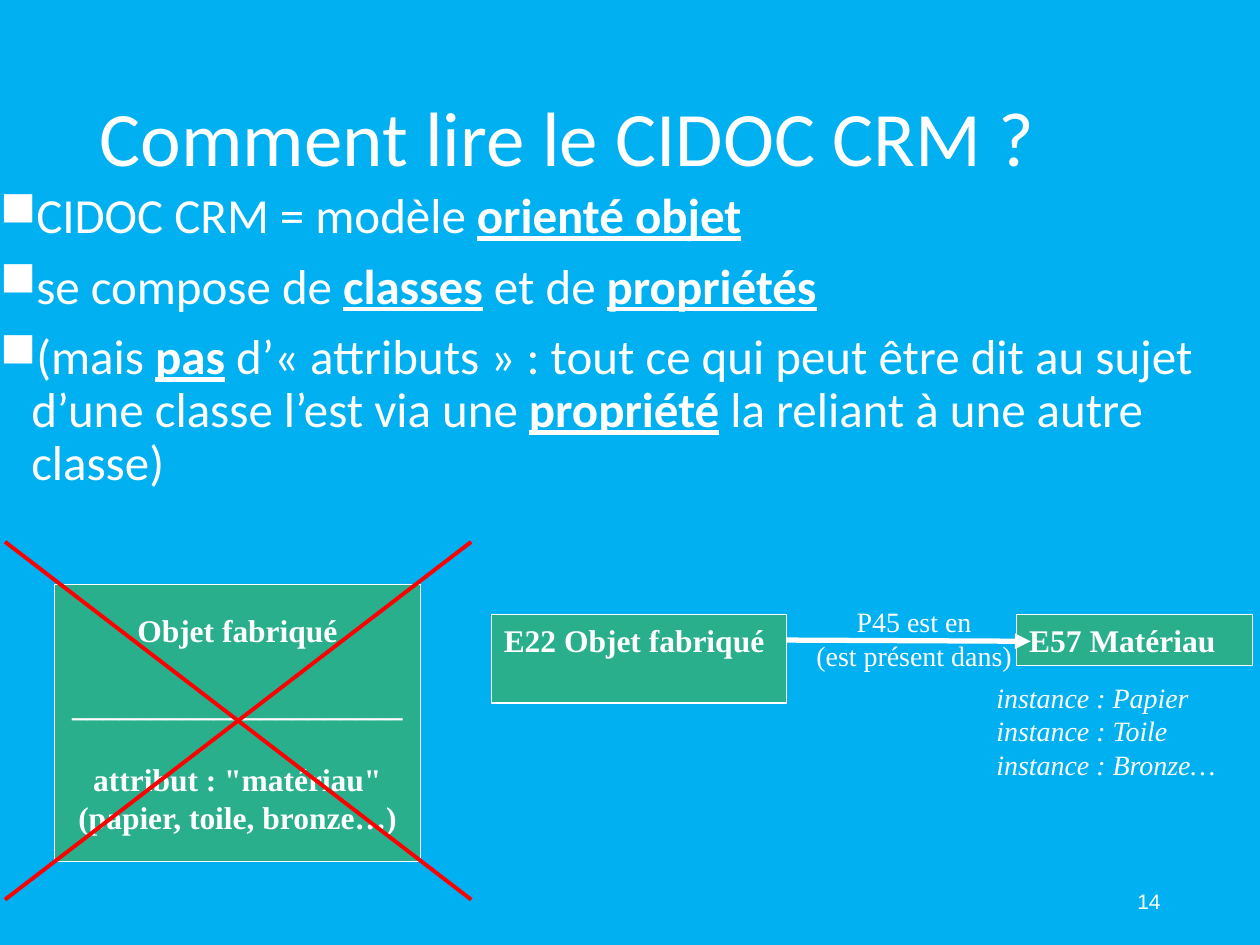
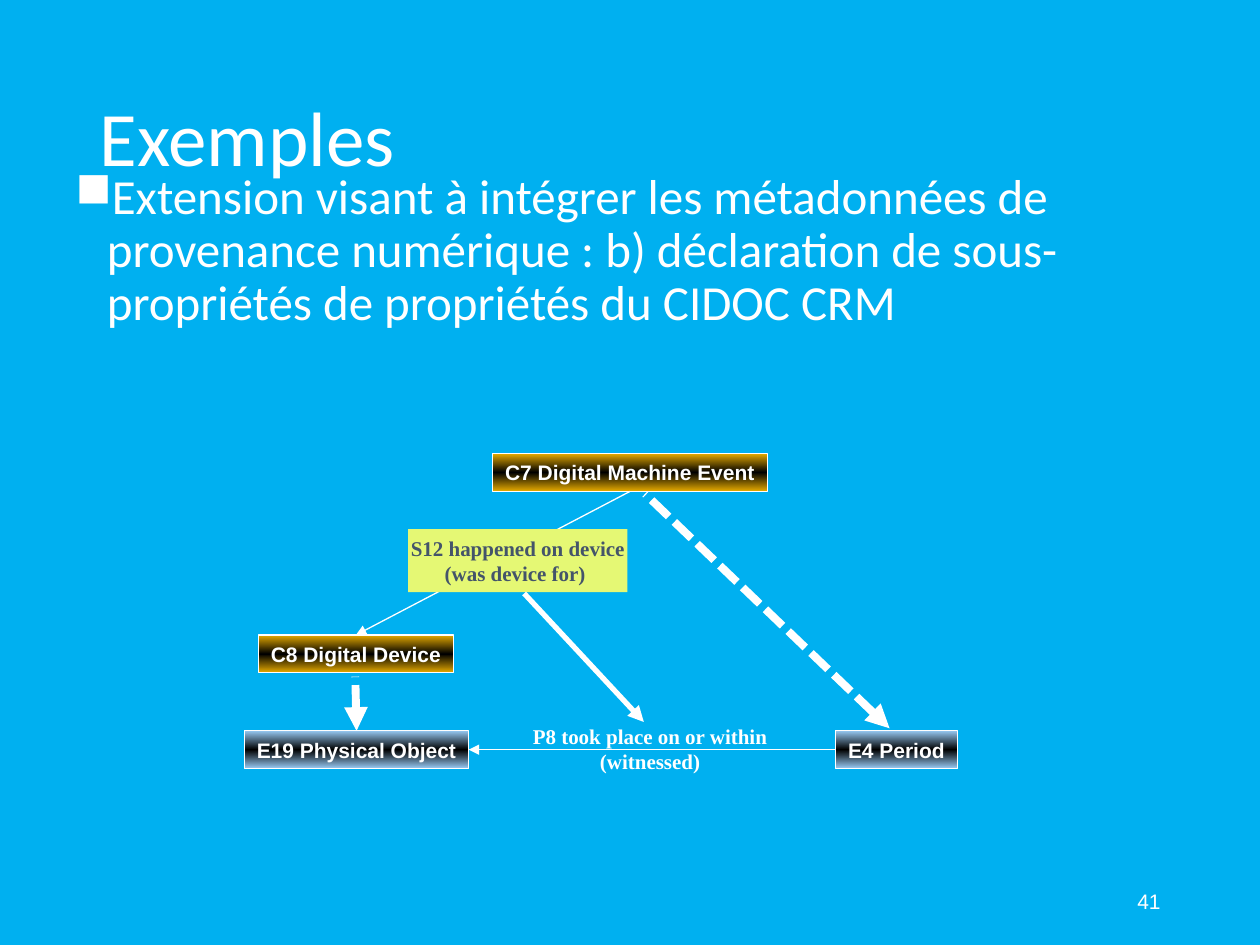
from copy import deepcopy
from dataclasses import dataclass
from typing import Optional, Union

from lxml import etree
from pptx import Presentation
from pptx.dml.color import RGBColor
from pptx.enum.dml import MSO_LINE
from pptx.enum.shapes import MSO_CONNECTOR, MSO_SHAPE
from pptx.enum.text import MSO_ANCHOR, MSO_AUTO_SIZE, PP_ALIGN
from pptx.oxml.ns import qn
from pptx.util import Emu, Pt

# Shared style
PX = 9144  # 100 px to the inch
SKY = RGBColor(0x00, 0xB0, 0xF0)
WHITE = RGBColor(0xFF, 0xFF, 0xFF)
BLACK = RGBColor(0x00, 0x00, 0x00)
GREEN = RGBColor(0x29, 0xAF, 0x8C)
RED = RGBColor(0xFF, 0x00, 0x00)
AMBER = RGBColor(0xE6, 0xAA, 0x00)
PALE_BLUE = RGBColor(0x97, 0xC9, 0xF3)
LIME = RGBColor(0xE5, 0xF8, 0x74)
SLATE = RGBColor(0x44, 0x54, 0x6A)
SANS, SERIF, BODY_FONT = "Arial", "Times New Roman", "Calibri"
LEFT, CENTER, RIGHT = PP_ALIGN.LEFT, PP_ALIGN.CENTER, PP_ALIGN.RIGHT
TOP, MIDDLE = MSO_ANCHOR.TOP, MSO_ANCHOR.MIDDLE
RECTANGLE, STRAIGHT = MSO_SHAPE.RECTANGLE, MSO_CONNECTOR.STRAIGHT
DOTTED = MSO_LINE.SQUARE_DOT
NO_AUTOFIT = MSO_AUTO_SIZE.NONE
TOP_SIDE, LEFT_SIDE, BOTTOM_SIDE, RIGHT_SIDE = range(4)
TITLE_ONLY = 5

Area = tuple[int, int, int, int]
Point = tuple[int, int]


@dataclass(frozen=True)
class TextStyle:
    font: str
    size: int
    bold: bool = False
    italic: bool = False
    underline: bool = False
    color: RGBColor = WHITE


@dataclass(frozen=True)
class Block:
    """Lines of text, in a rectangle when there is a fill."""
    lines: tuple[str, ...]
    area: Area
    style: TextStyle
    fill: Optional[RGBColor] = None
    gradient: bool = False
    outline: bool = True
    align: PP_ALIGN = CENTER
    anchor: MSO_ANCHOR = TOP
    side_inset: int = 10
    gaps: tuple[int, ...] = ()  # points before each line


@dataclass(frozen=True)
class Joint:
    box: object
    side: int


@dataclass(frozen=True)
class Link:
    start: Union[Point, Joint]
    end: Union[Point, Joint]
    width: float = 0.75
    arrow: str = ""  # "headEnd" at the start, "tailEnd" at the end
    dotted: bool = False
    color: RGBColor = WHITE


TITLE = TextStyle(BODY_FONT, 44)
BODY = TextStyle(BODY_FONT, 28)
KEYWORD = TextStyle(BODY_FONT, 28, bold=True, underline=True)
NUMBER = TextStyle(SANS, 12)
ENTITY = TextStyle(SERIF, 18, bold=True)
RELATION = TextStyle(SERIF, 16)
INSTANCE = TextStyle(SERIF, 16, italic=True)
NODE = TextStyle(SANS, 12, bold=True)
NODE_RELATION = TextStyle(SERIF, 12, bold=True)
NEW_RELATION = TextStyle(SERIF, 12, bold=True, color=SLATE)


def scaled(*lengths: int) -> list[Emu]:
    return [Emu(length * PX) for length in lengths]


def add_span(para, text: str, style: TextStyle) -> None:
    span = para.add_run()
    span.text = text
    font = span.font
    font.name, font.size = style.font, Pt(style.size)
    font.bold, font.italic, font.underline = style.bold, style.italic, style.underline
    font.color.rgb = style.color


def next_para(frame, index: int):
    return frame.add_paragraph() if index else frame.paragraphs[0]


def fill_box(box, color: RGBColor, gradient: bool) -> None:
    if not gradient:
        box.fill.solid()
        box.fill.fore_color.rgb = color
        return
    box.fill.gradient()
    box.fill.gradient_angle = 90
    stops = box.element.spPr.find(qn("a:gradFill")).find(qn("a:gsLst"))
    stops.insert(1, deepcopy(stops[0]))
    for stop, position, shade in zip(box.fill.gradient_stops, (0, 0.5, 1), (color, BLACK, color)):
        stop.position = position
        stop.color.rgb = shade


def add_block(page, block: Block):
    area = scaled(*block.area)
    if block.fill is None:
        box = page.shapes.add_textbox(*area)
    else:
        box = page.shapes.add_shape(RECTANGLE, *area)
        box.shadow.inherit = False
        fill_box(box, block.fill, block.gradient)
        if block.outline:
            box.line.color.rgb, box.line.width = WHITE, Pt(0.75)
        else:
            box.line.fill.background()
    frame = box.text_frame
    frame.word_wrap = block.align != CENTER
    frame.vertical_anchor = block.anchor
    frame.margin_left = frame.margin_right = Emu(block.side_inset * PX)
    for index, line in enumerate(block.lines):
        para = next_para(frame, index)
        para.alignment = block.align
        if block.gaps and block.gaps[index]:
            para.space_before = Pt(block.gaps[index])
        add_span(para, line, block.style)
    return box


def add_link(page, link: Link) -> None:
    points = [(0, 0) if isinstance(end, Joint) else end for end in (link.start, link.end)]
    line = page.shapes.add_connector(STRAIGHT, *scaled(*points[0], *points[1]))
    if isinstance(link.start, Joint):
        line.begin_connect(link.start.box, link.start.side)
    if isinstance(link.end, Joint):
        line.end_connect(link.end.box, link.end.side)
    line.line.color.rgb, line.line.width = link.color, Pt(link.width)
    if link.dotted:
        line.line.dash_style = DOTTED
    properties = line.element.spPr
    if link.arrow:
        etree.SubElement(properties.find(qn("a:ln")), qn("a:" + link.arrow), type="triangle")
    etree.SubElement(properties, qn("a:effectLst"))


def add_bullets(page, area: Area, items: list[list[tuple[str, TextStyle]]]) -> None:
    frame = page.shapes.add_textbox(*scaled(*area)).text_frame
    frame.word_wrap = True
    for index, spans in enumerate(items):
        para = next_para(frame, index)
        para.line_spacing = 0.9
        if index:
            para.space_before = Pt(10)
        properties = para._p.get_or_add_pPr()
        properties.set("marL", str(25 * PX))
        properties.set("indent", str(-25 * PX))
        color = etree.SubElement(properties, qn("a:buClr"))
        etree.SubElement(color, qn("a:srgbClr"), val=str(WHITE))
        etree.SubElement(properties, qn("a:buChar"), char="■")
        for text, style in spans:
            add_span(para, text, style)


def add_page(deck, title: str, number: str):
    page = deck.slides.add_slide(deck.slide_layouts[TITLE_ONLY])
    heading = page.shapes.title
    heading.left, heading.top, heading.width, heading.height = scaled(69, 40, 863, 145)
    frame = heading.text_frame
    frame.auto_size, frame.vertical_anchor = NO_AUTOFIT, MIDDLE
    para = frame.paragraphs[0]
    para.alignment, para.line_spacing = LEFT, 0.9
    add_span(para, title, TITLE)
    add_block(page, Block((number,), (706, 695, 225, 40), NUMBER, align=RIGHT, anchor=MIDDLE))
    return page


def build_reading_page(deck) -> None:
    page = add_page(deck, "Comment lire le CIDOC CRM ?", "14")
    add_bullets(page, (-10, 147, 1020, 260), [
        [("CIDOC CRM = modèle ", BODY), ("orienté objet", KEYWORD)],
        [("se compose de ", BODY), ("classes", KEYWORD), (" et de ", BODY),
         ("propriétés", KEYWORD)],
        [("(mais ", BODY), ("pas", KEYWORD),
         (" d’« attributs » : tout ce qui peut être dit au sujet d’une classe l’est via une ", BODY),
         ("propriété", KEYWORD), (" la reliant à une autre classe)", BODY)],
    ])

    # Rejected class with an attribute
    add_block(page, Block(
        ("Objet fabriqué", "_____________________", 'attribut : "matériau"',
         "(papier, toile, bronze…)"),
        (43, 464, 291, 220), ENTITY, GREEN, anchor=MIDDLE, gaps=(0, 21, 21, 0)))

    # Two classes linked by a property
    add_block(page, Block(("E22 Objet fabriqué",), (390, 488, 234, 70), ENTITY, GREEN, align=LEFT))
    add_block(page, Block(("E57 Matériau",), (807, 488, 187, 40), ENTITY, GREEN, align=LEFT))
    add_link(page, Link((624, 508), (818, 509), 3, "tailEnd"))
    add_block(page, Block(("instance : Papier", "instance : Toile", "instance : Bronze…"),
                          (781, 535, 216, 90), INSTANCE, align=LEFT))
    add_block(page, Block(("P45 est en", "(est présent dans)"), (622, 475, 207, 64), RELATION))

    # Red cross
    for start_y, end_y in ((430, 714), (714, 430)):
        add_link(page, Link((4, start_y), (374, end_y), 2.25, color=RED))


def build_examples_page(deck) -> None:
    page = add_page(deck, "Exemples", "41")
    add_bullets(page, (50, 132, 900, 495), [[(
        "Extension visant à intégrer les métadonnées de provenance numérique : "
        "b) déclaration de sous-propriétés de propriétés du CIDOC CRM", BODY)]])

    # Classes: extension in amber, CIDOC CRM in blue
    event, device, period, thing = [
        add_block(page, Block((name,), (left, top, width, 30), NODE, color,
                              gradient=True, anchor=MIDDLE))
        for name, left, top, width, color in (
            ("C7 Digital Machine Event", 391, 360, 218, AMBER),
            ("C8 Digital Device", 205, 504, 155, AMBER),
            ("E4 Period", 663, 580, 97, PALE_BLUE),
            ("E19 Physical Object", 194, 580, 178, PALE_BLUE),
        )]

    # Properties between classes, with their labels
    add_link(page, Link(Joint(event, BOTTOM_SIDE), Joint(device, TOP_SIDE), arrow="tailEnd"))
    add_link(page, Link(Joint(thing, RIGHT_SIDE), Joint(period, LEFT_SIDE), arrow="headEnd"))
    add_block(page, Block(("P8 took place on or within", "(witnessed)"),
                          (413, 569, 206, 50), NODE_RELATION))
    add_block(page, Block(("S12 happened on device", "(was device for) "),
                          (324, 420, 174, 50), NEW_RELATION, LIME, outline=False, side_inset=2))

    # Specialisation arrows
    add_link(page, Link((511, 573), (416, 471), 3, "headEnd"))
    add_link(page, Link((706, 578), (512, 392), 4.5, "headEnd", dotted=True))
    add_link(page, Link(Joint(thing, TOP_SIDE), (282, 537), 4.5, "headEnd", dotted=True))


def main() -> None:
    deck = Presentation()
    deck.slide_width, deck.slide_height = scaled(1000, 750)
    backdrop = deck.slide_master.background.fill
    backdrop.solid()
    backdrop.fore_color.rgb = SKY
    build_reading_page(deck)
    build_examples_page(deck)
    deck.save("out.pptx")


if __name__ == "__main__":
    main()
